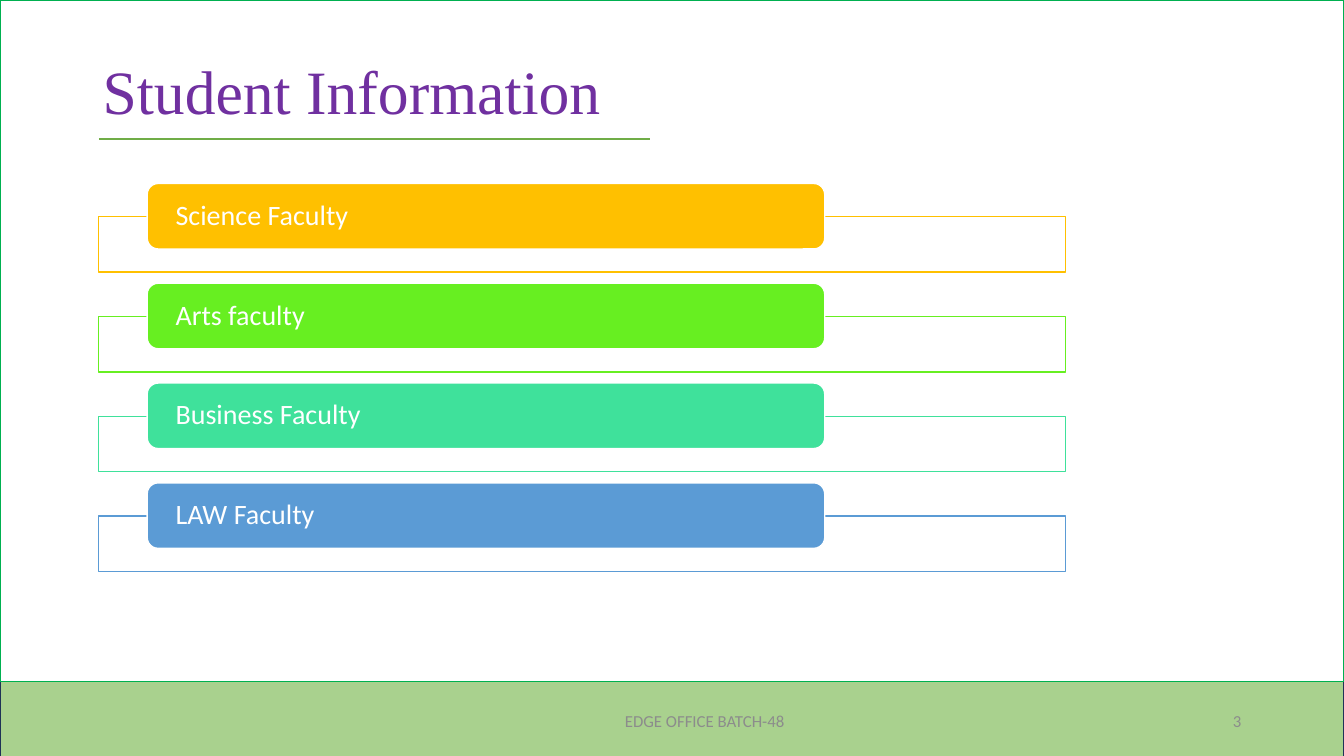
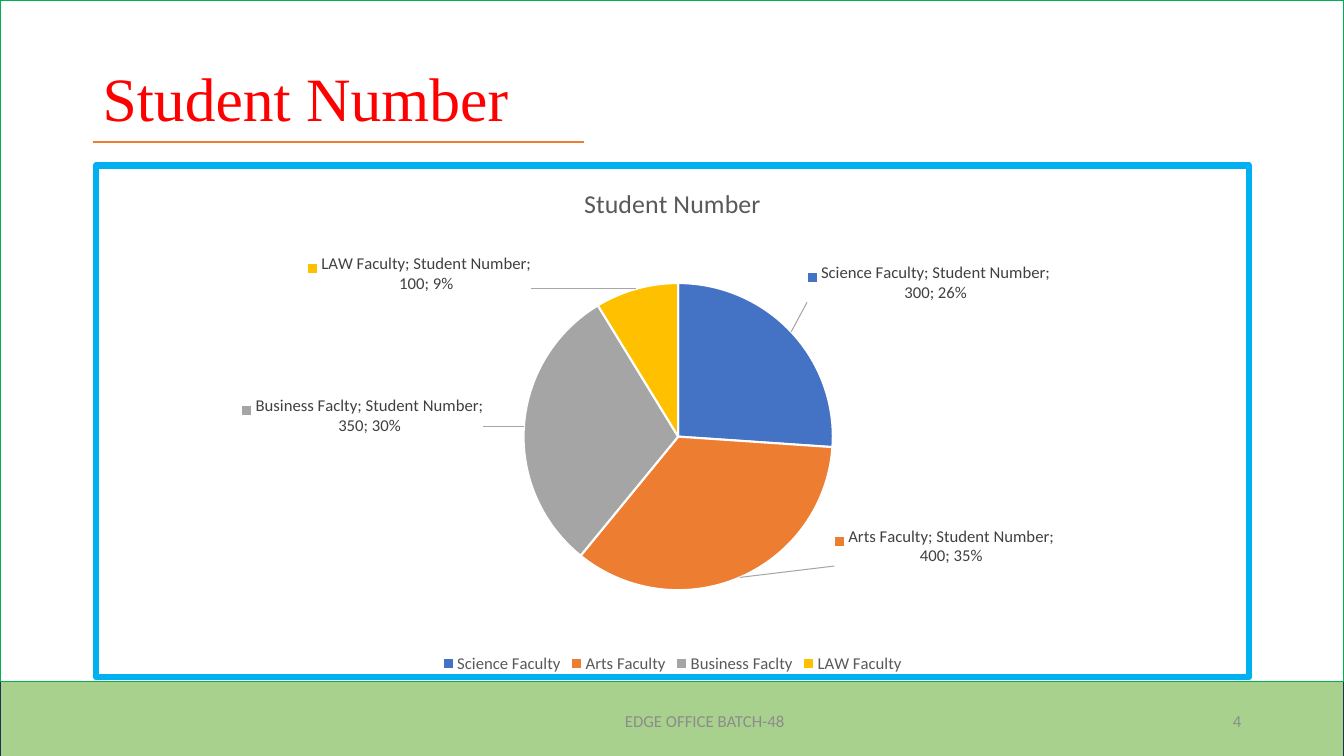
from dataclasses import dataclass

from lxml.etree import SubElement
from pptx import Presentation
from pptx.chart.chart import Chart
from pptx.chart.data import CategoryChartData
from pptx.dml.color import RGBColor
from pptx.enum.chart import XL_CHART_TYPE, XL_LABEL_POSITION, XL_LEGEND_POSITION
from pptx.enum.shapes import MSO_CONNECTOR, MSO_SHAPE
from pptx.enum.text import MSO_ANCHOR, PP_ALIGN
from pptx.oxml import parse_xml
from pptx.oxml.ns import nsdecls, qn
from pptx.shapes.autoshape import Shape
from pptx.slide import Slide
from pptx.util import Inches, Pt


@dataclass(frozen=True)
class Theme:
    white: str = "FFFFFF"
    band: str = "A9D18E"
    band_edge: str = "1E3256"
    page_edge: str = "00B050"
    footer: str = "8C8C8C"
    chart_edge: str = "00B0F0"
    chart_text: str = "595959"
    label_text: str = "404040"
    leader: str = "A6A6A6"
    title_font: str = "Times New Roman"
    body_font: str = "Calibri"
    title_size: float = 44
    tag_size: float = 20
    chart_title_size: float = 18.6
    small_size: float = 12


@dataclass(frozen=True)
class Area:
    left: float
    top: float
    width: float
    height: float

    def lengths(self) -> tuple:
        return tuple(Inches(n) for n in (self.left, self.top, self.width, self.height))


@dataclass(frozen=True)
class Heading:
    text: str
    color: str
    height: float
    rule_color: str
    rule_left: float
    rule_right: float
    rule_top: float


@dataclass(frozen=True)
class Faculty:
    name: str
    color: str


@dataclass(frozen=True)
class Slice:
    name: str
    students: int
    color: str
    shift_x: float  # label offset, as a share of the chart
    shift_y: float


THEME = Theme()
PAGE_WIDTH, PAGE_HEIGHT, BAND_TOP = 13.33, 7.5, 6.76
FOOTER = "EDGE OFFICE BATCH-48"

INFORMATION = Heading("Student Information", "7030A0", 1.07, "70AD47", 0.98, 6.45, 1.38)
NUMBER = Heading("Student Number", "FF0000", 1.21, "ED7D31", 0.92, 5.79, 1.41)

FACULTIES = [
    Faculty("Science Faculty", "FFC000"),
    Faculty("Arts faculty", "67EF21"),
    Faculty("Business Faculty", "3FE19B"),
    Faculty("LAW Faculty", "5B9BD5"),
]
FIRST_FRAME_TOP, FRAME_PITCH, TAG_RISE = 2.15, 0.99, 0.33

SLICES = [
    Slice("Science Faculty", 300, "4472C4", 0.01, -0.05),
    Slice("Arts Faculty", 400, "ED7D31", 0.08, -0.11),
    Slice("Business Faclty", 350, "A5A5A5", -0.03, -0.02),
    Slice("LAW Faculty", 100, "FFC000", -0.09, 0.02),
]
CHART_AREA = Area(0.92, 1.61, 11.5, 5.14)
PIE_AREA = Area(0.37, 0.23, 0.27, 0.6)  # shares of the chart


def rgb(color: str) -> RGBColor:
    return RGBColor.from_string(color)


def style_font(font, size: float, color: str, name: str = THEME.body_font) -> None:
    font.size, font.name, font.bold = Pt(size), name, False
    font.color.rgb = rgb(color)


def add_box(page: Slide, area: Area, fill: str | None, line: str,
            kind: MSO_SHAPE = MSO_SHAPE.RECTANGLE) -> Shape:
    box = page.shapes.add_shape(kind, *area.lengths())
    box.shadow.inherit = False
    if fill:
        box.fill.solid()
        box.fill.fore_color.rgb = rgb(fill)
    else:
        box.fill.background()
    box.line.color.rgb = rgb(line)
    box.line.width = Pt(1)
    return box


def write(box: Shape, text: str, size: float, color: str, font: str = THEME.body_font,
          align: PP_ALIGN = PP_ALIGN.LEFT, line_spacing: float = 1.0) -> None:
    frame = box.text_frame
    frame.word_wrap = True
    frame.vertical_anchor = MSO_ANCHOR.MIDDLE
    para = frame.paragraphs[0]
    para.text = text
    para.alignment = align
    para.line_spacing = line_spacing
    style_font(para.font, size, color, font)


def add_background(page: Slide) -> None:
    add_box(page, Area(0, BAND_TOP, PAGE_WIDTH, 0.85), THEME.band, THEME.band_edge)
    add_box(page, Area(0, 0, PAGE_WIDTH, BAND_TOP), None, THEME.page_edge)


def add_heading(page: Slide, heading: Heading) -> None:
    title = page.shapes.add_textbox(*Area(0.92, 0.4, 11.5, heading.height).lengths())
    write(title, heading.text, THEME.title_size, heading.color, THEME.title_font,
          line_spacing=0.9)
    top = Inches(heading.rule_top)
    rule = page.shapes.add_connector(MSO_CONNECTOR.STRAIGHT, Inches(heading.rule_left), top,
                                     Inches(heading.rule_right), top)
    rule.line.color.rgb = rgb(heading.rule_color)
    rule.line.width = Pt(1.5)
    SubElement(rule._element.spPr, qn("a:effectLst"))


def add_footer(page: Slide, number: int) -> None:
    for left, width, text, align in (
        (4.74, 4.5, FOOTER, PP_ALIGN.CENTER),
        (11.68, 0.73, str(number), PP_ALIGN.RIGHT),
    ):
        box = page.shapes.add_textbox(*Area(left, 6.95, width, 0.4).lengths())
        write(box, text, THEME.small_size, THEME.footer, align=align)


def add_faculties(page: Slide) -> None:
    for index, faculty in enumerate(FACULTIES):
        top = FIRST_FRAME_TOP + index * FRAME_PITCH
        add_box(page, Area(0.98, top, 9.59, 0.55), THEME.white, faculty.color)
        tag = add_box(page, Area(1.46, top - TAG_RISE, 6.72, 0.65), faculty.color,
                      THEME.white, MSO_SHAPE.ROUNDED_RECTANGLE)
        tag.text_frame.margin_left = tag.text_frame.margin_right = Inches(0.25)
        write(tag, faculty.name, THEME.tag_size, THEME.white, line_spacing=0.9)


def manual_layout(settings: dict):
    """Build a chart layout element from its child names and values."""
    children = "".join(f'<c:{name} val="{value}"/>' for name, value in settings.items())
    return parse_xml(f'<c:layout {nsdecls("c")}><c:manualLayout>{children}'
                     "</c:manualLayout></c:layout>")


def outline(tag: str, color: str, points: float):
    """Build a chart element that holds an outline."""
    properties = (f'<a:ln w="{Pt(points)}"><a:solidFill><a:srgbClr val="{color}"/>'
                  "</a:solidFill></a:ln>")
    if tag != "spPr":
        properties = f"<c:spPr>{properties}</c:spPr>"
    return parse_xml(f'<c:{tag} {nsdecls("c", "a")}>{properties}</c:{tag}>')


def style_slices(chart: Chart) -> None:
    series = chart.plots[0].series[0]
    labels = series.data_labels
    style_font(labels.font, THEME.small_size, THEME.label_text)
    labels.position = XL_LABEL_POSITION.OUTSIDE_END
    for index, item in enumerate(SLICES):
        point = series.points[index]
        point.format.fill.solid()
        point.format.fill.fore_color.rgb = rgb(item.color)
        point.format.line.color.rgb = rgb(THEME.white)
        point.format.line.width = Pt(1.5)
        style_font(point.data_label.font, THEME.small_size, THEME.label_text)
        point.data_label.position = XL_LABEL_POSITION.OUTSIDE_END

    root = chart.element
    for item, label in zip(SLICES, root.iter(qn("c:dLbl"))):
        label.insert(1, manual_layout({"x": item.shift_x, "y": item.shift_y}))
    for name in ("LegendKey", "Val", "CatName", "SerName", "Percent", "LeaderLines"):
        for flag in root.iter(qn(f"c:show{name}")):
            flag.set("val", "1")
    next(root.iter(qn("c:dLbls"))).append(outline("leaderLines", THEME.leader, 0.75))


def add_student_chart(page: Slide) -> None:
    data = CategoryChartData()
    data.categories = [item.name for item in SLICES]
    data.add_series("Student Number", [item.students for item in SLICES])
    chart = page.shapes.add_chart(XL_CHART_TYPE.PIE, *CHART_AREA.lengths(), data).chart
    style_font(chart.font, THEME.small_size, THEME.chart_text)
    chart.plots[0].vary_by_categories = True

    chart.has_title = True
    para = chart.chart_title.text_frame.paragraphs[0]
    para.text = "Student Number"
    style_font(para.font, THEME.chart_title_size, THEME.chart_text)
    chart.chart_title.include_in_layout = False

    chart.has_legend = True
    chart.legend.position = XL_LEGEND_POSITION.BOTTOM
    chart.legend.include_in_layout = False
    style_font(chart.legend.font, THEME.small_size, THEME.chart_text)
    style_slices(chart)

    plot_area = next(chart.element.iter(qn("c:plotArea")))
    for old_layout in plot_area.findall(qn("c:layout")):
        plot_area.remove(old_layout)
    plot_area.insert(0, manual_layout({
        "layoutTarget": "inner", "xMode": "edge", "yMode": "edge",
        "x": PIE_AREA.left, "y": PIE_AREA.top, "w": PIE_AREA.width, "h": PIE_AREA.height,
    }))
    chart.element.find(qn("c:chart")).addnext(outline("spPr", THEME.chart_edge, 4.5))


def main() -> None:
    deck = Presentation()
    deck.slide_width, deck.slide_height = Inches(PAGE_WIDTH), Inches(PAGE_HEIGHT)
    pages = ((INFORMATION, add_faculties), (NUMBER, add_student_chart))
    for number, (heading, add_content) in enumerate(pages, start=3):
        page = deck.slides.add_slide(deck.slide_layouts[6])
        add_background(page)
        add_content(page)
        add_heading(page, heading)
        add_footer(page, number)
    deck.save("out.pptx")


if __name__ == "__main__":
    main()
